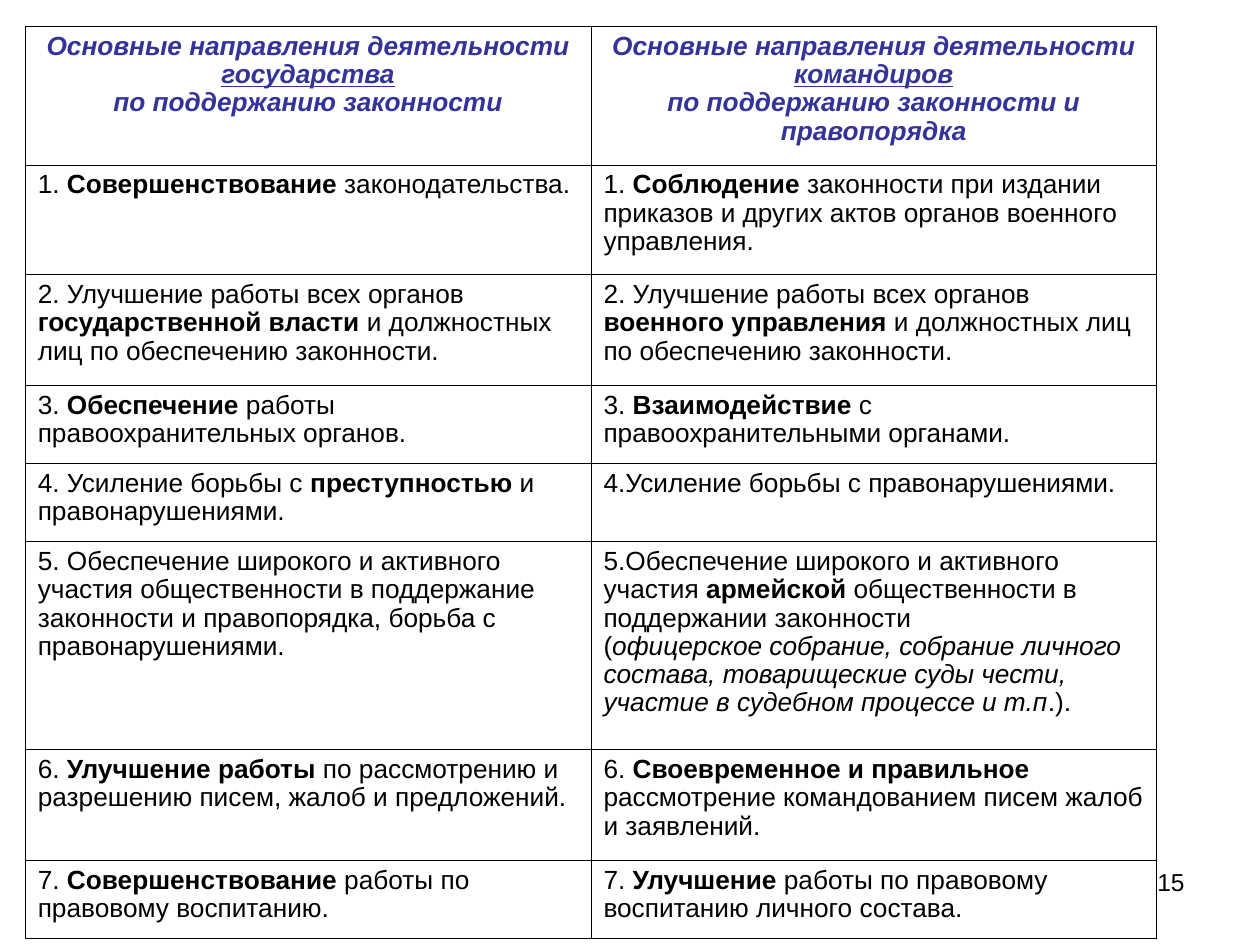
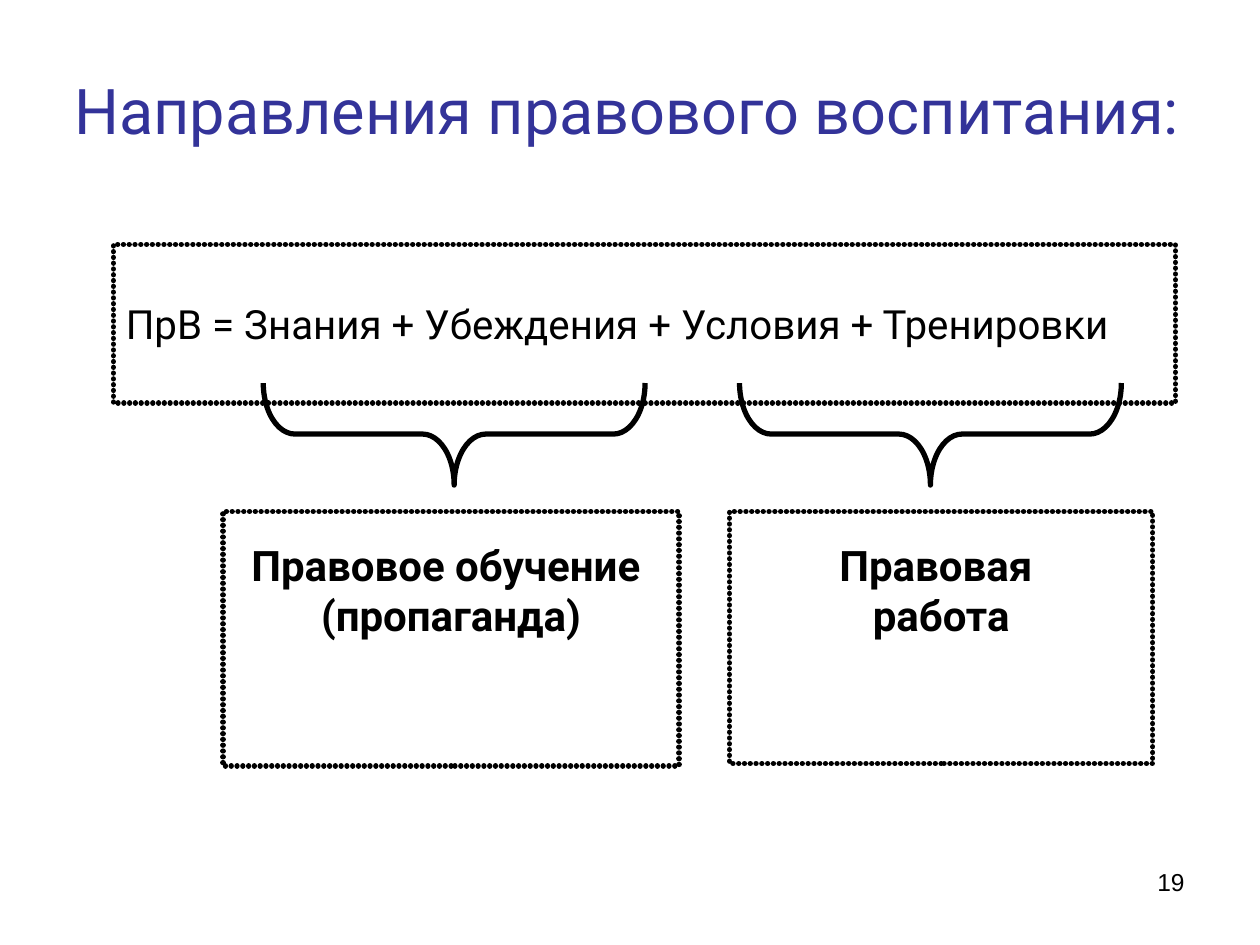
from dataclasses import dataclass

from lxml import etree
from pptx import Presentation
from pptx import util as u
from pptx.dml.color import RGBColor
from pptx.enum import shapes, text
from pptx.oxml import ns

SLIDE_W, SLIDE_H = u.Inches(10), u.Inches(7.5)
BLACK, WHITE, INDIGO = "000000", "FFFFFF", "333399"
BODY_FONT, DISPLAY_FONT = "Arial", "Roboto"
TITLE_ONLY, BLANK = 5, 6
MARKS = {"*": "bold", "/": "italic", "_": "underline"}


@dataclass(frozen=True)
class Box:
    """A frame in percent of the slide's width and height."""
    x: float
    y: float
    w: float
    h: float

    def emu(self) -> tuple[int, int, int, int]:
        return (across(self.x), down(self.y), across(self.w), down(self.h))


@dataclass(frozen=True)
class Style:
    size: float
    color: str = BLACK
    font: str = BODY_FONT
    bold: bool = False
    italic: bool = False
    align: text.PP_ALIGN = text.PP_ALIGN.LEFT
    spacing: float = 1.0


@dataclass(frozen=True)
class Row:
    height: float
    state: str
    commanders: str


@dataclass(frozen=True)
class Panel:
    box: Box
    words: str
    style: Style
    anchor: text.MSO_ANCHOR
    margin_top: float = 0.05


CENTER = text.PP_ALIGN.CENTER
TITLE = Style(36, INDIGO, DISPLAY_FONT)
NUMBER = Style(14, align=text.PP_ALIGN.RIGHT)
HEADING = Style(15, INDIGO, bold=True, italic=True, align=CENTER, spacing=0.97)
BODY = Style(15, spacing=0.97)
FORMULA = Style(23, font=DISPLAY_FONT)
BRANCH = Style(24, font=DISPLAY_FONT, bold=True, align=CENTER)

TITLE_BOX = Box(4.9, 6.93, 94.2, 9.33)
NUMBER_BOX = Box(71.7, 91.07, 23.3, 6.93)
TABLE_LEFT, TABLE_TOP, COLUMN_W = 2, 2.8, 44.9

ROWS = [
    Row(14.67,
        "Основные направления деятельности\n_государства_\nпо поддержанию законности",
        "Основные направления деятельности\n_командиров_\n"
        "по поддержанию законности и правопорядка"),
    Row(11.6,
        "1. *Совершенствование* законодательства.",
        "1. *Соблюдение* законности при издании приказов и других актов "
        "органов военного управления."),
    Row(11.73,
        "2. Улучшение работы всех органов *государственной власти* "
        "и должностных лиц по обеспечению законности.",
        "2. Улучшение работы всех органов *военного управления* "
        "и должностных лиц по обеспечению законности."),
    Row(8.27,
        "3. *Обеспечение* работы правоохранительных органов.",
        "3. *Взаимодействие* с правоохранительными органами."),
    Row(8.27,
        "4. Усиление борьбы с *преступностью* и правонарушениями.",
        "4.Усиление борьбы с правонарушениями."),
    Row(22,
        "5. Обеспечение широкого и активного участия общественности "
        "в поддержание законности и правопорядка, борьба с правонарушениями.",
        "5.Обеспечение широкого и активного участия *армейской* "
        "общественности в поддержании законности\n"
        "(/офицерское собрание, собрание личного состава, товарищеские суды "
        "чести, участие в судебном процессе и т.п/.)."),
    Row(11.73,
        "6. *Улучшение работы* по рассмотрению и разрешению писем, "
        "жалоб и предложений.",
        "6. *Своевременное и правильное* рассмотрение командованием "
        "писем жалоб и заявлений."),
    Row(8.27,
        "7. *Совершенствование* работы по правовому воспитанию.",
        "7. *Улучшение* работы по правовому воспитанию личного состава."),
]

PANELS = [
    Panel(Box(9, 25.87, 84.3, 16.8),
          "ПрВ = Знания + Убеждения + Условия + Тренировки",
          FORMULA, text.MSO_ANCHOR.MIDDLE),
    Panel(Box(17.7, 54.13, 36.2, 26.93), "Правовое обучение \n(пропаганда)",
          BRANCH, text.MSO_ANCHOR.TOP, 0.22),
    Panel(Box(57.9, 54.13, 33.6, 26.67), "Правовая \nработа",
          BRANCH, text.MSO_ANCHOR.TOP, 0.22),
]
BRACES = [Box(x, 40.53, 30.3, 10.8) for x in (20.9, 58.7)]


def across(share: float) -> int:
    return round(SLIDE_W * share / 100)


def down(share: float) -> int:
    return round(SLIDE_H * share / 100)


def rgb(code: str) -> RGBColor:
    return RGBColor.from_string(code)


def write(tf, words: str, style: Style) -> None:
    for i, line in enumerate(words.split("\n")):
        p = tf.paragraphs[0] if i == 0 else tf.add_paragraph()
        p.alignment, p.line_spacing = style.align, style.spacing
        active = {"bold": style.bold, "italic": style.italic, "underline": False}
        piece = ""
        for char in line:
            if char in MARKS:
                add_run(p, piece, style, active)
                active[MARKS[char]] = not active[MARKS[char]]
                piece = ""
            else:
                piece += char
        add_run(p, piece, style, active)


def add_run(p, words: str, style: Style, active: dict[str, bool]) -> None:
    if not words:
        return
    r = p.add_run()
    r.text = words
    r.font.name, r.font.size = style.font, u.Pt(style.size)
    r.font.color.rgb = rgb(style.color)
    for name, value in active.items():
        setattr(r.font, name, value)


def add_number(s, number: int) -> None:
    tf = s.shapes.add_textbox(*NUMBER_BOX.emu()).text_frame
    tf.word_wrap = True
    write(tf, str(number), NUMBER)


def add_title(s, words: str) -> None:
    sp = s.shapes.title
    sp.left, sp.top, sp.width, sp.height = TITLE_BOX.emu()
    tf = sp.text_frame
    tf.word_wrap = True
    tf.auto_size = text.MSO_AUTO_SIZE.NONE
    tf.vertical_anchor = text.MSO_ANCHOR.MIDDLE
    write(tf, words, TITLE)


def outline_cell(cell) -> None:
    tc_pr = cell._tc.get_or_add_tcPr()
    for i, side in enumerate(("lnL", "lnR", "lnT", "lnB")):
        ln = etree.Element(ns.qn(f"a:{side}"), w=str(u.Pt(0.45)))
        fill = etree.SubElement(ln, ns.qn("a:solidFill"))
        etree.SubElement(fill, ns.qn("a:srgbClr"), val=BLACK)
        tc_pr.insert(i, ln)


def add_directions_table(s) -> None:
    height = sum(row.height for row in ROWS)
    frame = Box(TABLE_LEFT, TABLE_TOP, 2 * COLUMN_W, height)
    table = s.shapes.add_table(len(ROWS), 2, *frame.emu()).table
    table.first_row = table.horz_banding = False
    for column in table.columns:
        column.width = across(COLUMN_W)
    for i, row in enumerate(ROWS):
        table.rows[i].height = down(row.height)
        for j, words in enumerate((row.state, row.commanders)):
            cell = table.cell(i, j)
            cell.fill.solid()
            cell.fill.fore_color.rgb = rgb(WHITE)
            outline_cell(cell)
            write(cell.text_frame, words, BODY if i else HEADING)


def outline(sp) -> None:
    sp.shadow.inherit = False
    sp.line.color.rgb = rgb(BLACK)
    sp.line.width = u.Pt(3)


def dot_outline(sp) -> None:
    ln = sp.line._get_or_add_ln()
    ln.set("cap", "rnd")
    dash = etree.Element(ns.qn("a:custDash"))
    etree.SubElement(dash, ns.qn("a:ds"), d="100000", sp="10000")
    ln.find(ns.qn("a:solidFill")).addnext(dash)


def add_panel(s, panel: Panel) -> None:
    sp = s.shapes.add_shape(shapes.MSO_SHAPE.RECTANGLE, *panel.box.emu())
    sp.fill.solid()
    sp.fill.fore_color.rgb = rgb(WHITE)
    outline(sp)
    dot_outline(sp)
    tf = sp.text_frame
    tf.word_wrap = True
    tf.vertical_anchor = panel.anchor
    tf.margin_top = u.Inches(panel.margin_top)
    write(tf, panel.words, panel.style)


def add_brace(s, box: Box) -> None:
    x, y, w, h = box.emu()
    shift = (w - h) // 2
    sp = s.shapes.add_shape(shapes.MSO_SHAPE.LEFT_BRACE, x + shift, y - shift, h, w)
    sp.rotation = 270
    sp.adjustments[0] = 0.31
    sp.fill.background()
    outline(sp)


def main() -> None:
    prs = Presentation()
    prs.slide_width, prs.slide_height = SLIDE_W, SLIDE_H

    s = prs.slides.add_slide(prs.slide_layouts[BLANK])
    add_number(s, 15)
    add_directions_table(s)

    s = prs.slides.add_slide(prs.slide_layouts[TITLE_ONLY])
    add_number(s, 19)
    add_title(s, "Направления правового воспитания:")
    formula, *branches = PANELS
    add_panel(s, formula)
    for brace in BRACES:
        add_brace(s, brace)
    for branch in branches:
        add_panel(s, branch)

    prs.save("out.pptx")


if __name__ == "__main__":
    main()
